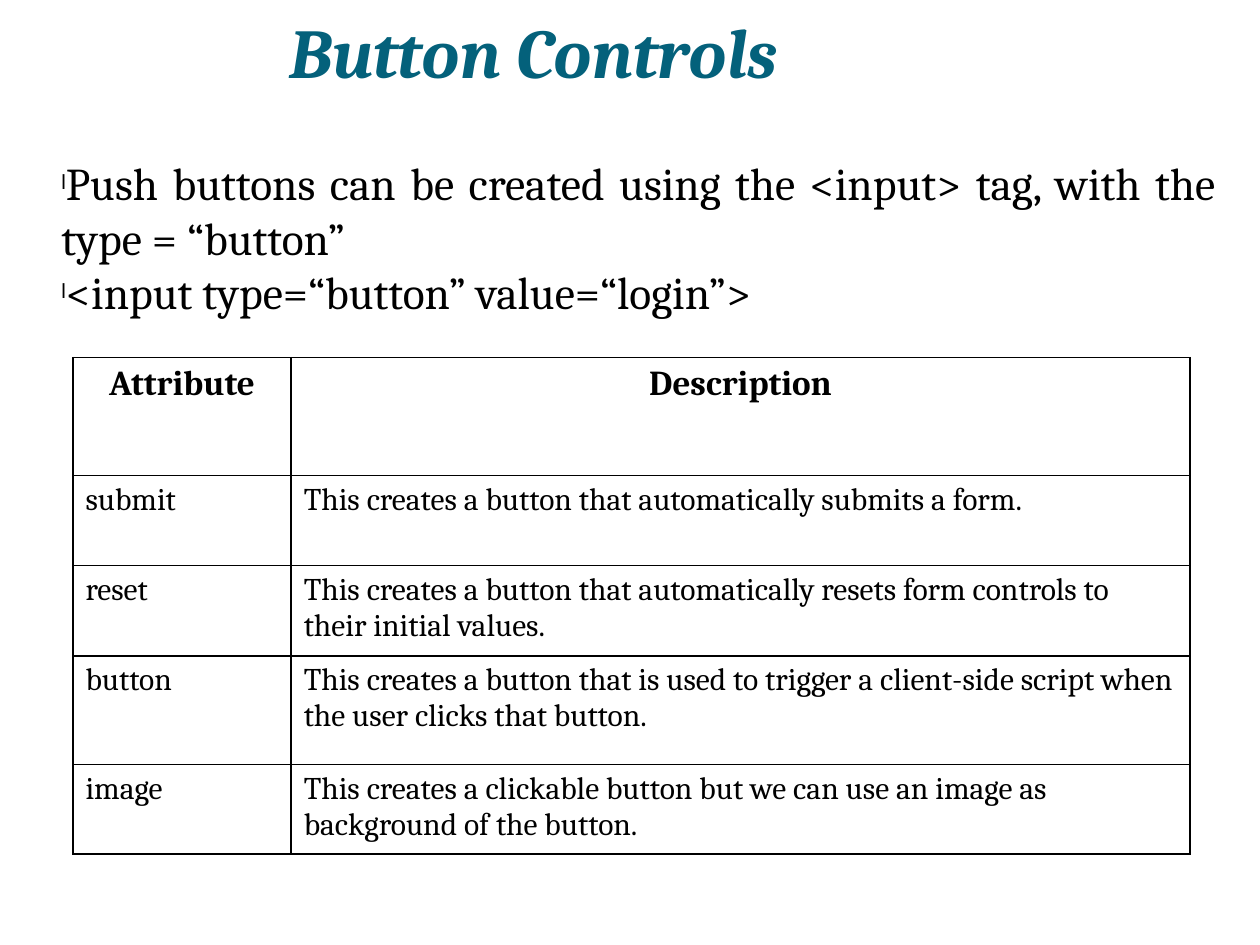
from dataclasses import dataclass

from lxml import etree
from pptx import Presentation
from pptx.dml.color import RGBColor
from pptx.enum.text import PP_ALIGN
from pptx.oxml.ns import qn
from pptx.util import Cm, Pt

LEFT, CENTER, JUSTIFY = PP_ALIGN.LEFT, PP_ALIGN.CENTER, PP_ALIGN.JUSTIFY
COLORS = {"title": "04617B", "text": "000000", "background": "FFFFFF"}
FONT_NAME = "Cambria"
BORDER_WIDTH = Pt(1)
COLUMN_WIDTHS = [Cm(4.4), Cm(18.12)]
ROW_HEIGHTS = [Cm(2.38), Cm(1.81), Cm(1.82), Cm(2.19), Cm(1.81)]
ROWS = [
    ("Attribute", "Description"),
    ("submit", "This creates a button that automatically submits a form."),
    ("reset", "This creates a button that automatically resets form controls to their initial values."),
    ("button", "This creates a button that is used to trigger a client-side script when the user clicks that button."),
    ("image", "This creates a clickable button but we can use an image as background of the button."),
]


@dataclass
class TextStyle:
    size: float
    color: str = "text"
    bold: bool = False
    italic: bool = False
    alignment: PP_ALIGN = LEFT
    bullet: bool = False


@dataclass
class TextBlock:
    left: Cm
    top: Cm
    width: Cm
    height: Cm
    lines: list[str]
    style: TextStyle


HEADER_STYLE = TextStyle(20, bold=True, alignment=CENTER)
BODY_STYLE = TextStyle(18)
TEXT_BLOCKS = [
    TextBlock(Cm(5.59), Cm(0.05), Cm(17.98), Cm(1.96), ["Button Controls"],
              TextStyle(40, "title", bold=True, italic=True)),
    TextBlock(Cm(0.99), Cm(3), Cm(23.8), Cm(3.56),
              ["Push buttons can be created using the <input> tag, with the type = “button”",
               "<input type=“button” value=“login”>"],
              TextStyle(26, alignment=JUSTIFY, bullet=True)),
]


def add_bullet(paragraph) -> None:
    properties = paragraph._p.get_or_add_pPr()
    bullet_parts = {
        "a:buSzPct": {"val": "45000"},
        "a:buFont": {"typeface": "Arial"},
        "a:buChar": {"char": "l"},
    }
    for tag, attributes in bullet_parts.items():
        etree.SubElement(properties, qn(tag), attributes)


def write_lines(text_frame, lines: list[str], style: TextStyle) -> None:
    text_frame.word_wrap = True
    text_frame.text = "\n".join(lines)
    font_values = {"name": FONT_NAME, "size": Pt(style.size),
                   "bold": style.bold, "italic": style.italic}
    for paragraph in text_frame.paragraphs:
        paragraph.alignment = style.alignment
        font = paragraph.runs[0].font
        for name, value in font_values.items():
            setattr(font, name, value)
        font.color.rgb = RGBColor.from_string(COLORS[style.color])
        if style.bullet:
            add_bullet(paragraph)


def add_text_block(slide, block: TextBlock) -> None:
    shape = slide.shapes.add_textbox(block.left, block.top, block.width, block.height)
    write_lines(shape.text_frame, block.lines, block.style)


def add_borders(cell) -> None:
    properties = cell._tc.get_or_add_tcPr()
    for index, side in enumerate(("L", "R", "T", "B")):
        line = etree.Element(qn(f"a:ln{side}"), {"w": str(BORDER_WIDTH)})
        fill = etree.SubElement(line, qn("a:solidFill"))
        etree.SubElement(fill, qn("a:srgbClr"), {"val": COLORS["text"]})
        properties.insert(index, line)


def add_attribute_table(slide) -> None:
    shape = slide.shapes.add_table(len(ROWS), len(COLUMN_WIDTHS), Cm(1.47), Cm(7.21),
                                   sum(COLUMN_WIDTHS), sum(ROW_HEIGHTS))
    table = shape.table
    for column, width in zip(table.columns, COLUMN_WIDTHS):
        column.width = width
    for row_index, (row, height, texts) in enumerate(zip(table.rows, ROW_HEIGHTS, ROWS)):
        row.height = height
        style = BODY_STYLE if row_index else HEADER_STYLE
        for cell, text in zip(row.cells, texts):
            cell.fill.solid()
            cell.fill.fore_color.rgb = RGBColor.from_string(COLORS["background"])
            write_lines(cell.text_frame, [text], style)
            add_borders(cell)


def main() -> None:
    presentation = Presentation()
    presentation.slide_width = Cm(25.4)
    presentation.slide_height = Cm(19.05)
    slide = presentation.slides.add_slide(presentation.slide_layouts[6])
    for block in TEXT_BLOCKS:
        add_text_block(slide, block)
    add_attribute_table(slide)
    presentation.save("out.pptx")


if __name__ == "__main__":
    main()
